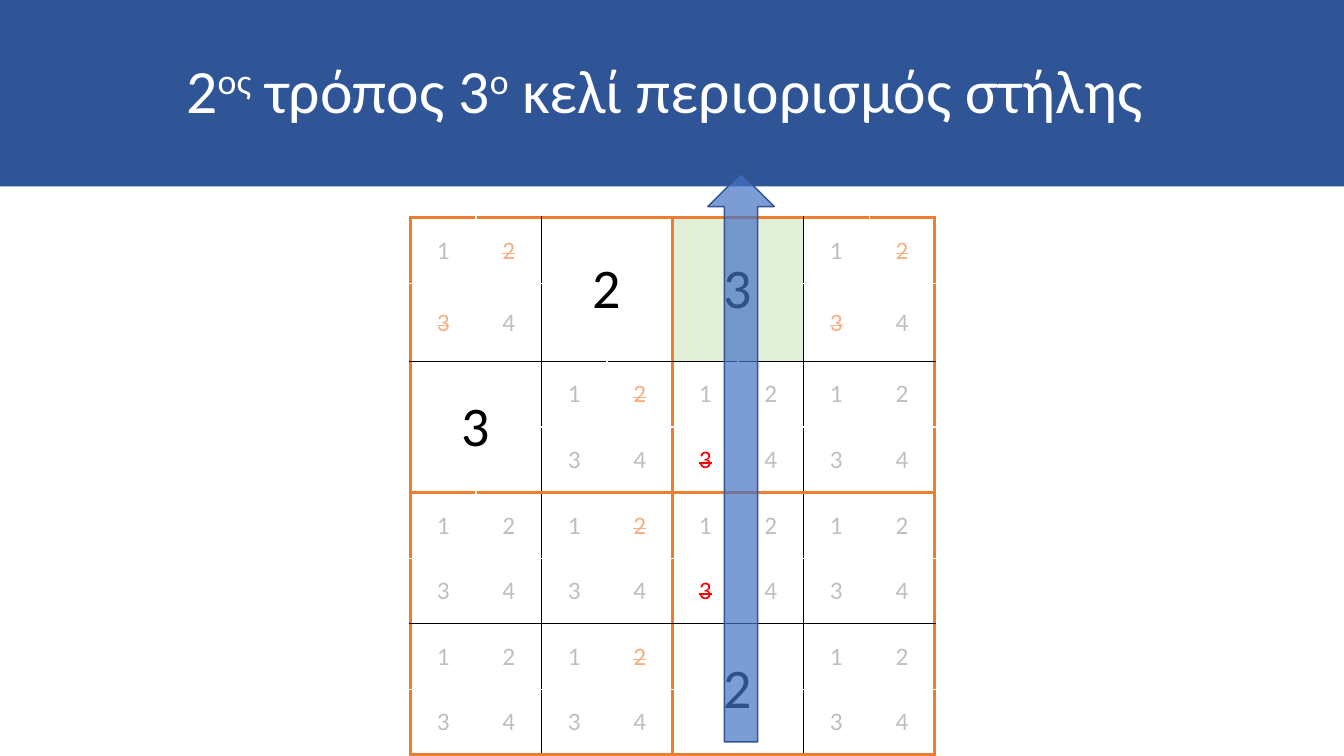
import pptx
import pptx.dml.color
import pptx.enum.shapes
import pptx.enum.text
import pptx.oxml
import pptx.oxml.ns
import pptx.util
from pptx.util import Inches

COLORS = {
    "banner": "2F5597", "white": "FFFFFF", "black": "000000",
    "box": "ED7D31", "candidate": "BFBFBF", "excluded": "F4B183",
    "excluded_now": "FF0000", "solved": "E2F0D9",
    "arrow": "4472C4", "arrow_line": "325491",
}
FONT = "Calibri"


def rgb(name):
    return pptx.dml.color.RGBColor.from_string(COLORS[name])


def add_border(cell, side, edge):
    """Draw the grid line with the given index on one side of a cell."""
    if edge % 4 == 0:
        color, width = COLORS["box"], 2.25
    else:
        color, width = COLORS["white" if edge % 2 else "black"], 1
    properties = cell._tc.get_or_add_tcPr()
    properties.append(pptx.oxml.parse_xml(
        f'<a:{side} {pptx.oxml.ns.nsdecls("a")} w="{pptx.util.Pt(width)}">'
        f'<a:solidFill><a:srgbClr val="{color}"/></a:solidFill></a:{side}>'))


presentation = pptx.Presentation()
presentation.slide_width = Inches(13.33)
presentation.slide_height = Inches(7.5)
slide = presentation.slides.add_slide(presentation.slide_layouts[5])

# Title banner
title = slide.shapes.title
title.left, title.top = Inches(0), Inches(0)
title.width, title.height = Inches(13.33), Inches(1.85)
title.fill.solid()
title.fill.fore_color.rgb = rgb("banner")
title.text_frame.auto_size = pptx.enum.text.MSO_AUTO_SIZE.NONE
title.text_frame.vertical_anchor = pptx.enum.text.MSO_ANCHOR.MIDDLE
paragraph = title.text_frame.paragraphs[0]
paragraph.alignment = pptx.enum.text.PP_ALIGN.CENTER
paragraph.line_spacing = 0.9
title_parts = ["2", "ος", " τρόπος 3", "ο", " κελί περιορισμός στήλης "]
for index, part in enumerate(title_parts):
    run = paragraph.add_run()
    run.text = part
    run.font.name = FONT
    run.font.size = pptx.util.Pt(44)
    run.font.color.rgb = rgb("white")
    if index % 2:
        run.font._element.set("baseline", "30000")

# Sudoku grid: each square is a 2 x 2 block of table cells
CELL = 0.65
COUNT = 8
answers = {(0, 2): "2", (0, 4): "3", (2, 0): "3", (6, 4): "2"}
struck = dict.fromkeys(
    [(0, 1), (0, 7), (1, 0), (1, 6), (2, 3), (4, 3), (6, 3)], "excluded")
struck.update(dict.fromkeys([(3, 4), (5, 4)], "excluded_now"))

frame = slide.shapes.add_table(COUNT, COUNT, Inches(4.07), Inches(2.16),
                               Inches(CELL * COUNT), Inches(CELL * COUNT))
table = frame.table
table.first_row = False
table.horz_banding = False
# Plain style without lines or fills
table._tbl.tblPr.find(pptx.oxml.ns.qn("a:tableStyleId")).text = (
    "{2D5ABB26-0587-4C30-8999-92F81FD0307C}")
for line in [*table.rows]:
    line.height = Inches(CELL)
for line in table.columns:
    line.width = Inches(CELL)

for row, column in answers:
    table.cell(row, column).merge(table.cell(row + 1, column + 1))

for row in range(COUNT):
    for column in range(COUNT):
        cell = table.cell(row, column)
        span = 2 if cell.is_merge_origin else 1
        in_answer = cell.is_merge_origin or cell.is_spanned
        edges = {"lnL": column, "lnR": column + span,
                 "lnT": row, "lnB": row + span}
        for side, edge in edges.items():
            if not (in_answer and edge % 2):
                add_border(cell, side, edge)
        if (row, column) == (0, 4):
            cell.fill.solid()
            cell.fill.fore_color.rgb = rgb("solved")
        else:
            cell.fill.background()

        paragraph = cell.text_frame.paragraphs[0]
        if cell.is_spanned:
            # Large empty text keeps the second row tall enough
            if row == 1:
                paragraph._p.get_or_add_endParaRPr().set("sz", "4000")
            continue
        candidate = str(row % 2 * 2 + column % 2 + 1)
        paragraph.text = answers.get((row, column), candidate)
        paragraph.alignment = pptx.enum.text.PP_ALIGN.CENTER
        cell.vertical_anchor = pptx.enum.text.MSO_ANCHOR.MIDDLE
        font = paragraph.runs[0].font
        font.name = FONT
        font.size = pptx.util.Pt(40 if in_answer else 18)
        font.color.rgb = rgb(
            "black" if in_answer else struck.get((row, column), "candidate"))
        if (row, column) in struck:
            font._element.set("strike", "sngStrike")

# Arrow along the third column
arrow = slide.shapes.add_shape(
    pptx.enum.shapes.MSO_SHAPE.UP_ARROW,
    Inches(7.02), Inches(1.72), Inches(0.66), Inches(5.64))
arrow.shadow.inherit = False
arrow.fill.solid()
arrow.fill.fore_color.rgb = rgb("arrow")
arrow_color = arrow._element.spPr.find(
    pptx.oxml.ns.qn("a:solidFill")).find(pptx.oxml.ns.qn("a:srgbClr"))
arrow_color.append(pptx.oxml.parse_xml(
    f'<a:alpha {pptx.oxml.ns.nsdecls("a")} val="70000"/>'))
arrow.line.color.rgb = rgb("arrow_line")
arrow.line.width = pptx.util.Pt(1)

presentation.save("out.pptx")
